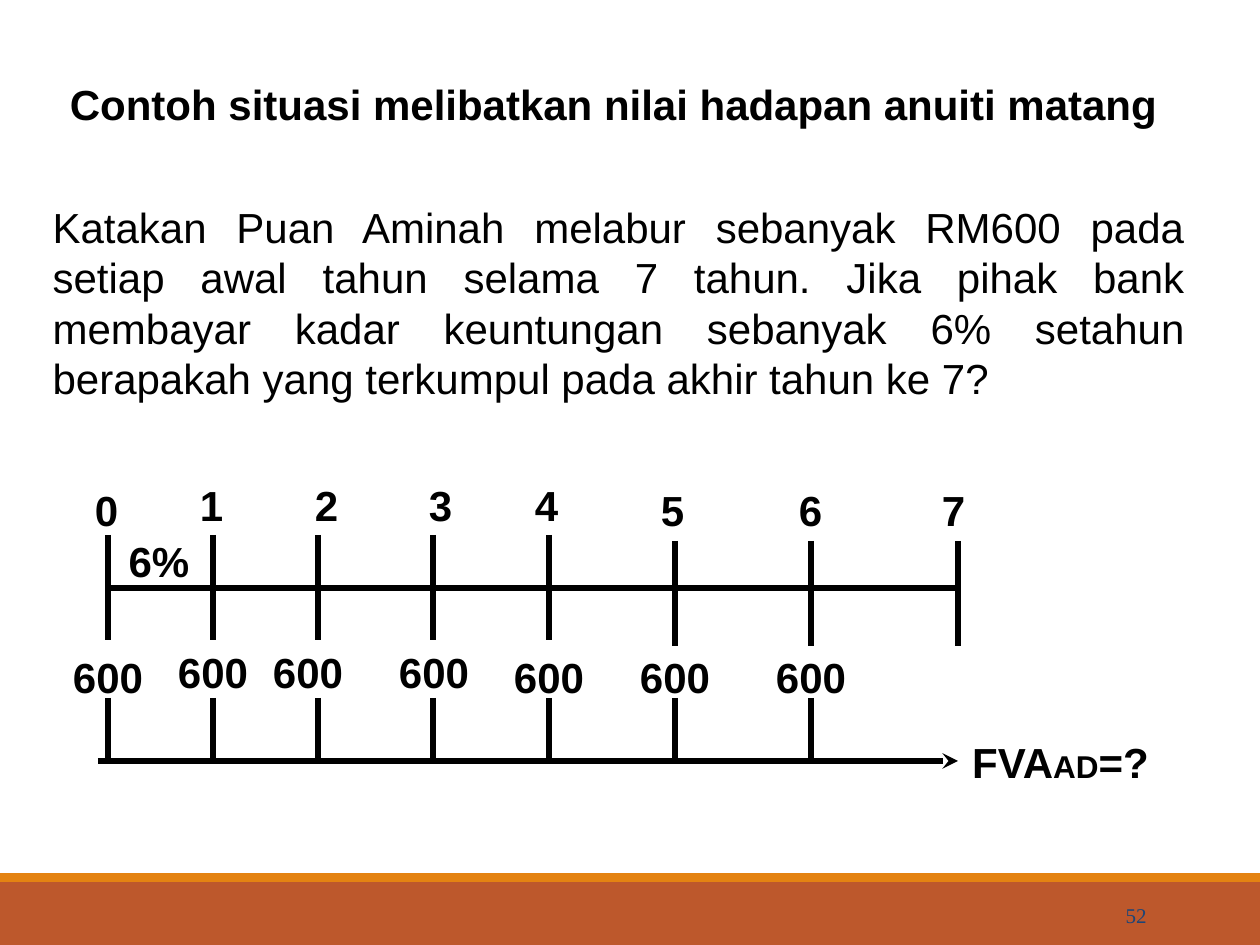
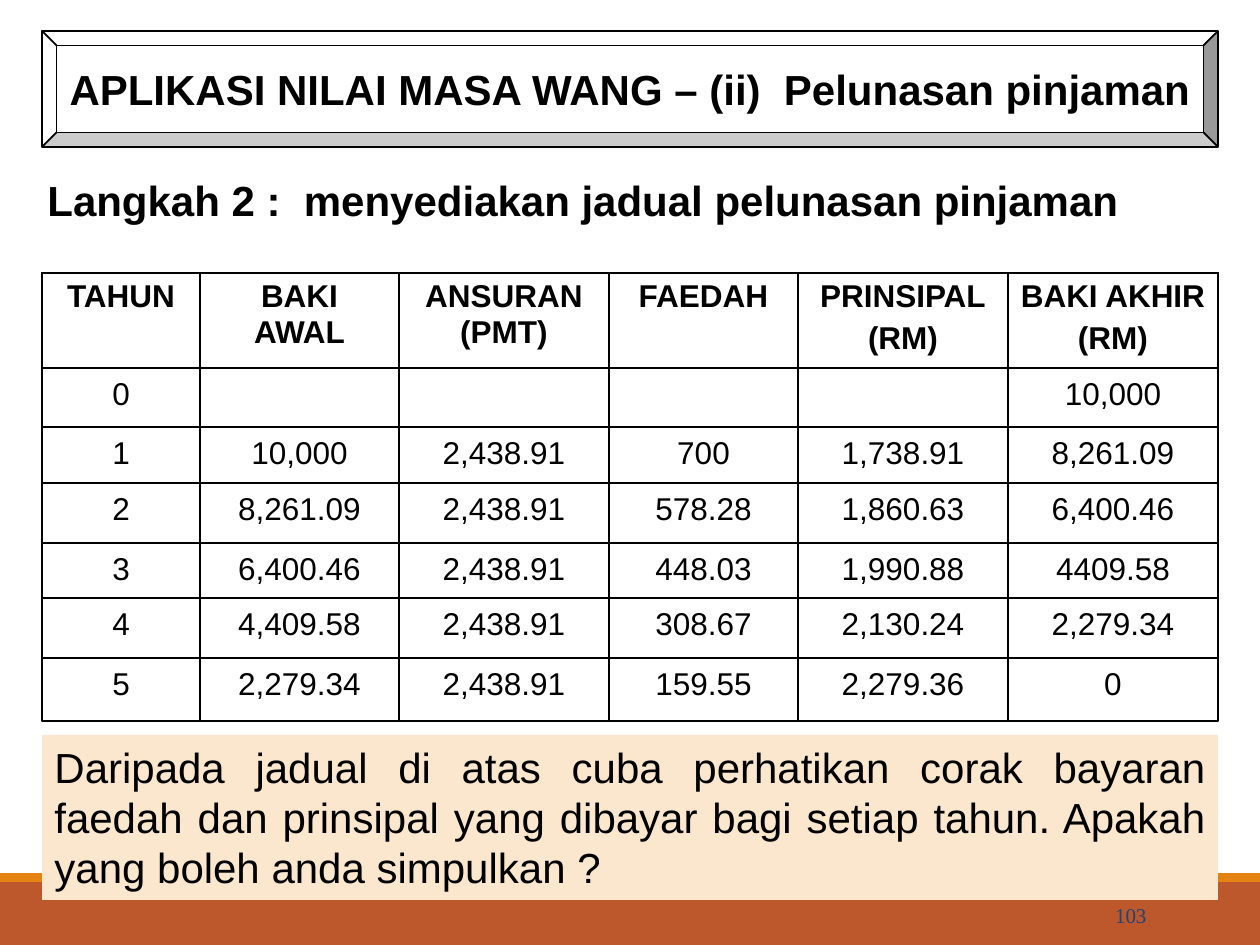
from collections import namedtuple
from itertools import accumulate

from pptx import Presentation
from pptx.dml.color import RGBColor
from pptx.enum.shapes import MSO_CONNECTOR, MSO_SHAPE
from pptx.enum.text import MSO_ANCHOR, MSO_AUTO_SIZE, PP_ALIGN
from pptx.oxml import parse_xml
from pptx.oxml.ns import nsdecls, qn
from pptx.util import Pt

EMU_PER_INCH = 914400
PX_PER_INCH = 126
SLIDE_WIDTH, SLIDE_HEIGHT = 1260, 945

BLACK = RGBColor(0x00, 0x00, 0x00)
WHITE = RGBColor(0xFF, 0xFF, 0xFF)
RUST = RGBColor(0xBD, 0x58, 0x2C)
ORANGE = RGBColor(0xE4, 0x83, 0x12)
CREAM = RGBColor(0xFB, 0xE6, 0xCE)
NAVY = RGBColor(0x1D, 0x45, 0x77)

BODY_FONT = "Arial"
NUMBER_FONT = "Times New Roman"
CENTER, RIGHT, JUSTIFY = PP_ALIGN.CENTER, PP_ALIGN.RIGHT, PP_ALIGN.JUSTIFY
TOP, MIDDLE = MSO_ANCHOR.TOP, MSO_ANCHOR.MIDDLE
NO_AUTOFIT = MSO_AUTO_SIZE.NONE
RECTANGLE, BEVEL = MSO_SHAPE.RECTANGLE, MSO_SHAPE.BEVEL
STRAIGHT = MSO_CONNECTOR.STRAIGHT

CONTENT_LAYOUT, TITLE_ONLY_LAYOUT = 1, 5
LABEL_HEIGHT = 63

Year = namedtuple("Year", "label x tick_top label_x label_top amount_x amount_top")
TIMELINE_YEARS = [
    Year("0", 10, 62, 8, 5, 10, 172),
    Year("1", 115, 62, 113, 0, 115, 167),
    Year("2", 220, 62, 228, 0, 210, 167),
    Year("3", 335, 62, 342, 0, 336, 167),
    Year("4", 451, 62, 448, 0, 451, 172),
    Year("5", 577, 68, 574, 5, 577, 172),
    Year("6", 713, 68, 712, 5, 713, 172),
    Year("7", 860, 68, 855, 5, None, None),
]

COLUMN_WIDTHS = [158, 199, 210, 189, 210, 210]
HEADER_HEIGHT, ROW_HEIGHT = 97, 63
ROW_TOPS = [95, 154, 210, 270, 325, 385]
HEADINGS = ["TAHUN", "BAKI AWAL", "ANSURAN (PMT)", "FAEDAH", "PRINSIPAL\n(RM)", "BAKI AKHIR\n(RM)"]
LOAN_SCHEDULE = [
    ["0", "", "", "", "", "10,000"],
    ["1", "10,000", "2,438.91", "700", "1,738.91", "8,261.09"],
    ["2", "8,261.09", "2,438.91", "578.28", "1,860.63", "6,400.46"],
    ["3", "6,400.46", "2,438.91", "448.03", "1,990.88", "4409.58"],
    ["4", "4,409.58", "2,438.91", "308.67", "2,130.24", "2,279.34"],
    ["5", "2,279.34", "2,438.91", "159.55", "2,279.36", "0"],
]


def px(length):
    return round(length * EMU_PER_INCH / PX_PER_INCH)


def place(shape, box):
    shape.left, shape.top, shape.width, shape.height = map(px, box)


def write_text(text_frame, text, size=24, bold=False, color=BLACK, font=BODY_FONT,
               align=CENTER, paragraph_gap=0):
    for index, line in enumerate(text.split("\n")):
        paragraph = text_frame.add_paragraph() if index else text_frame.paragraphs[0]
        paragraph.alignment = align
        paragraph.space_before = Pt(paragraph_gap if index else 0)
        add_run(paragraph, line, size, bold, color, font)


def add_run(paragraph, text, size, bold=True, color=BLACK, font=BODY_FONT):
    run = paragraph.add_run()
    run.text = text
    run.font.size = Pt(size)
    run.font.bold = bold
    run.font.name = font
    run.font.color.rgb = color


def set_frame(text_frame, anchor=TOP, wrap=True):
    text_frame.auto_size = NO_AUTOFIT
    text_frame.word_wrap = wrap
    text_frame.vertical_anchor = anchor


def add_text(slide, box, text, anchor=TOP, wrap=True, **text_format):
    shape = slide.shapes.add_textbox(*map(px, box))
    set_frame(shape.text_frame, anchor, wrap)
    write_text(shape.text_frame, text, **text_format)
    return shape


def fill_placeholder(placeholder, box, text, anchor=TOP, **text_format):
    place(placeholder, box)
    set_frame(placeholder.text_frame, anchor)
    write_text(placeholder.text_frame, text, **text_format)


def add_box(slide, kind, box, fill, line=None, text="", **text_format):
    shape = slide.shapes.add_shape(kind, *map(px, box))
    shape.shadow.inherit = False
    shape.fill.solid()
    shape.fill.fore_color.rgb = fill
    if line is None:
        shape.line.fill.background()
    else:
        shape.line.color.rgb = line
        shape.line.width = Pt(1)
    if text:
        set_frame(shape.text_frame)
        write_text(shape.text_frame, text, **text_format)
    return shape


def add_line(slide, start, end, arrow=False):
    connector = slide.shapes.add_connector(STRAIGHT, *map(px, start + end))
    connector.line.color.rgb = BLACK
    connector.line.width = Pt(3)
    if arrow:
        connector.line._get_or_add_ln().append(
            parse_xml(f'<a:tailEnd {nsdecls("a")} type="stealth"/>'))
    connector._element.spPr.append(parse_xml(f'<a:effectLst {nsdecls("a")}/>'))


def add_master_bands(presentation, slide):
    master_tree = presentation.slide_master.shapes._spTree
    for top, height, color in [(873, 9, ORANGE), (882, 63, RUST)]:
        band = add_box(slide, RECTANGLE, (0, top, SLIDE_WIDTH, height), color)
        master_tree.insert(2, band._element)


def add_slide_number(slide, number):
    add_text(slide, (1023, 890, 136, 50), number, anchor=MIDDLE, size=12,
             font=NUMBER_FONT, color=NAVY, align=RIGHT)


def add_label(slide, center, top, text, width=96):
    return add_text(slide, (center - width // 2, top, width, LABEL_HEIGHT), text,
                    wrap=False, bold=True)


def add_timeline(slide, left, top):
    axis_y, tick_height = top + 115, 105
    drop_top, arrow_y = top + 225, top + 288
    first_x, last_x = left + TIMELINE_YEARS[0].x, left + TIMELINE_YEARS[-1].x
    add_line(slide, (first_x, axis_y), (last_x, axis_y))
    add_line(slide, (left, arrow_y), (last_x, arrow_y), arrow=True)
    for year in TIMELINE_YEARS:
        x, tick_top = left + year.x, top + year.tick_top
        add_line(slide, (x, tick_top), (x, tick_top + tick_height))
        add_label(slide, left + year.label_x, top + year.label_top, year.label, width=73)
        if year.amount_x is not None:
            add_label(slide, left + year.amount_x, top + year.amount_top, "600")
            add_line(slide, (x, drop_top), (x, arrow_y))
    add_label(slide, left + 61, top + 56, "6%")
    future_value = add_text(slide, (left + 858, top + 257, 209, LABEL_HEIGHT), "FVA", bold=True)
    paragraph = future_value.text_frame.paragraphs[0]
    add_run(paragraph, "AD", 18)
    add_run(paragraph, "=?", 24)


def set_borders(cell):
    properties = cell._tc.get_or_add_tcPr()
    for index, side in enumerate(("lnL", "lnR", "lnT", "lnB")):
        properties.insert(index, parse_xml(
            f'<a:{side} {nsdecls("a")} w="{Pt(1)}"><a:solidFill>'
            f'<a:srgbClr val="{BLACK}"/></a:solidFill></a:{side}>'))


def add_heading_table(slide, left, top):
    box = (left, top, sum(COLUMN_WIDTHS), HEADER_HEIGHT)
    table = slide.shapes.add_table(1, len(HEADINGS), *map(px, box)).table
    table.first_row = table.horz_banding = False
    for column, width, cell, heading in zip(table.columns, COLUMN_WIDTHS,
                                            table.rows[0].cells, HEADINGS):
        column.width = px(width)
        cell.fill.solid()
        cell.fill.fore_color.rgb = WHITE
        set_borders(cell)
        write_text(cell.text_frame, heading, size=18, bold=True, paragraph_gap=3.6)


def add_schedule(slide, left, top):
    add_heading_table(slide, left, top)
    column_lefts = list(accumulate(COLUMN_WIDTHS[:-1], initial=left))
    for row_top, values in zip(ROW_TOPS, LOAN_SCHEDULE):
        for column_left, width, value in zip(column_lefts, COLUMN_WIDTHS, values):
            add_box(slide, RECTANGLE, (column_left, top + row_top, width, ROW_HEIGHT),
                    WHITE, BLACK, value, size=18)


def build_annuity_slide(slide):
    fill_placeholder(slide.shapes.title, (50, 72, 1139, 63),
                     "Contoh situasi melibatkan nilai hadapan anuiti matang ", bold=True)
    body = slide.placeholders[1]
    fill_placeholder(body, (40, 195, 1157, 217),
                     "Katakan Puan Aminah melabur sebanyak RM600 pada setiap awal tahun "
                     "selama 7 tahun. Jika pihak bank membayar kadar keuntungan sebanyak 6% "
                     "setahun berapakah yang terkumpul pada akhir tahun ke 7?", align=JUSTIFY)
    properties = body.text_frame.paragraphs[0]._p.get_or_add_pPr()
    properties.set("marL", "0")
    properties.set("indent", "0")
    properties.append(properties.makeelement(qn("a:buNone"), {}))
    add_timeline(slide, 98, 473)
    add_slide_number(slide, "52")


def build_loan_slide(slide):
    title_box = (42, 31, 1176, 116)
    add_box(slide, BEVEL, title_box, WHITE, BLACK)
    title = slide.shapes.title
    fill_placeholder(title, title_box, "APLIKASI NILAI MASA WANG – (ii)  Pelunasan pinjaman",
                     anchor=MIDDLE, bold=True)
    slide.shapes._spTree.append(title._element)
    add_text(slide, (0, 168, 1166, 63), "Langkah 2 :  menyediakan jadual pelunasan pinjaman",
             bold=True)
    add_schedule(slide, 42, 273)
    add_box(slide, RECTANGLE, (42, 735, 1176, 165), CREAM,
            text="Daripada jadual di atas cuba perhatikan corak bayaran faedah dan prinsipal "
                 "yang dibayar bagi setiap tahun. Apakah yang boleh anda simpulkan ?",
            align=JUSTIFY)
    add_slide_number(slide, "103")


def main():
    presentation = Presentation()
    presentation.slide_width, presentation.slide_height = px(SLIDE_WIDTH), px(SLIDE_HEIGHT)
    layouts = presentation.slide_layouts
    annuity_slide = presentation.slides.add_slide(layouts[CONTENT_LAYOUT])
    add_master_bands(presentation, annuity_slide)
    build_annuity_slide(annuity_slide)
    build_loan_slide(presentation.slides.add_slide(layouts[TITLE_ONLY_LAYOUT]))
    presentation.save("out.pptx")


if __name__ == "__main__":
    main()
